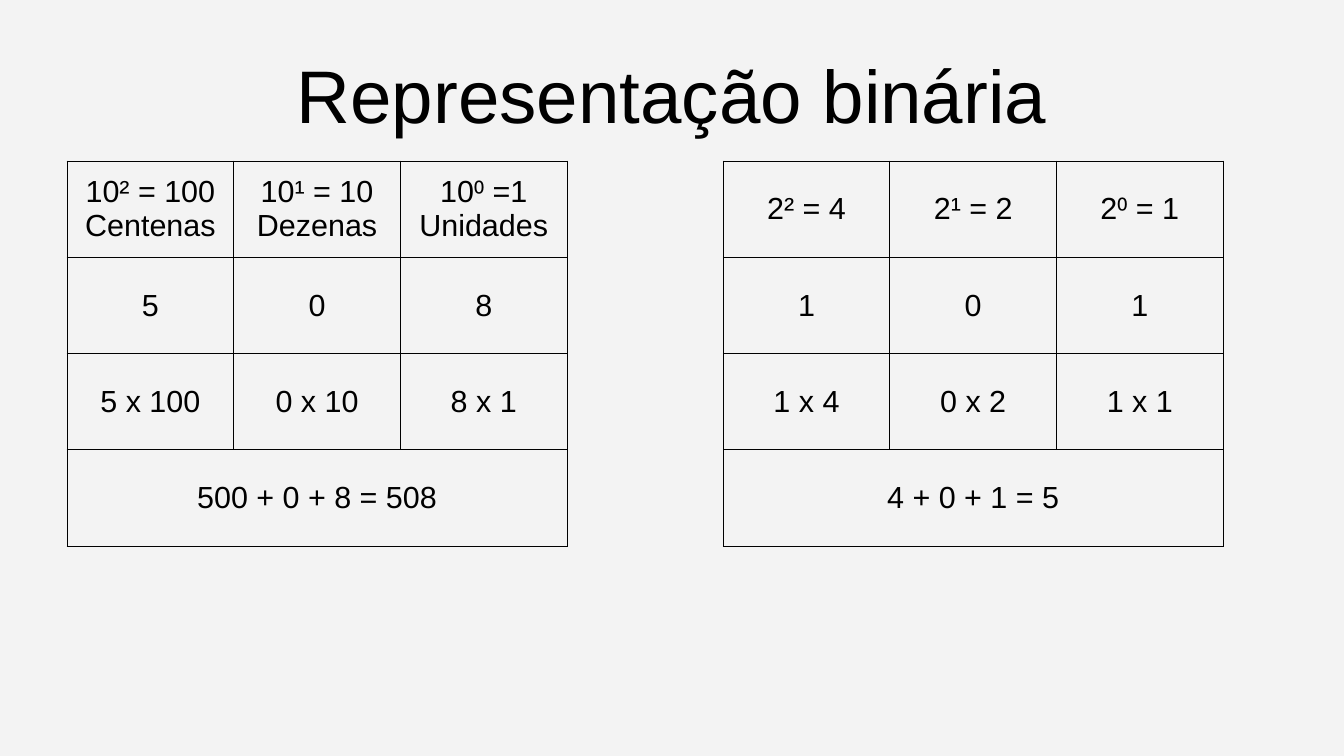
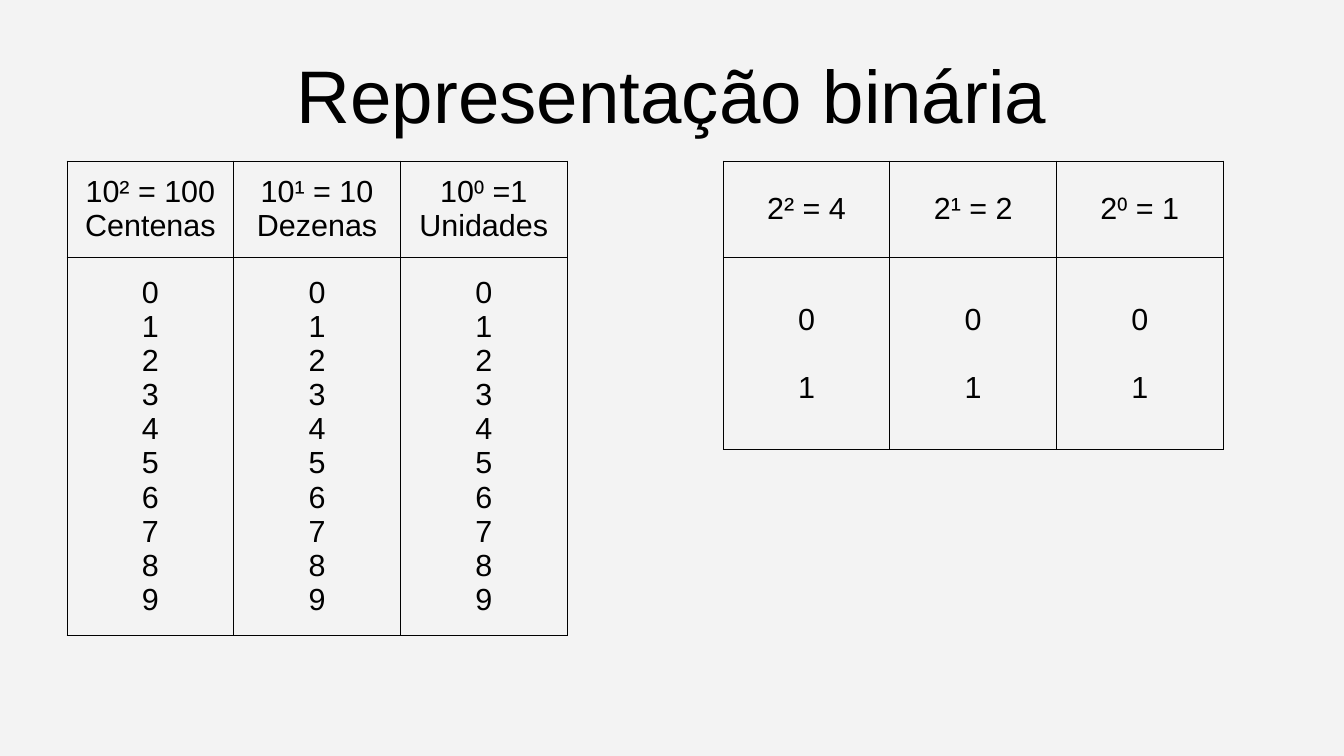
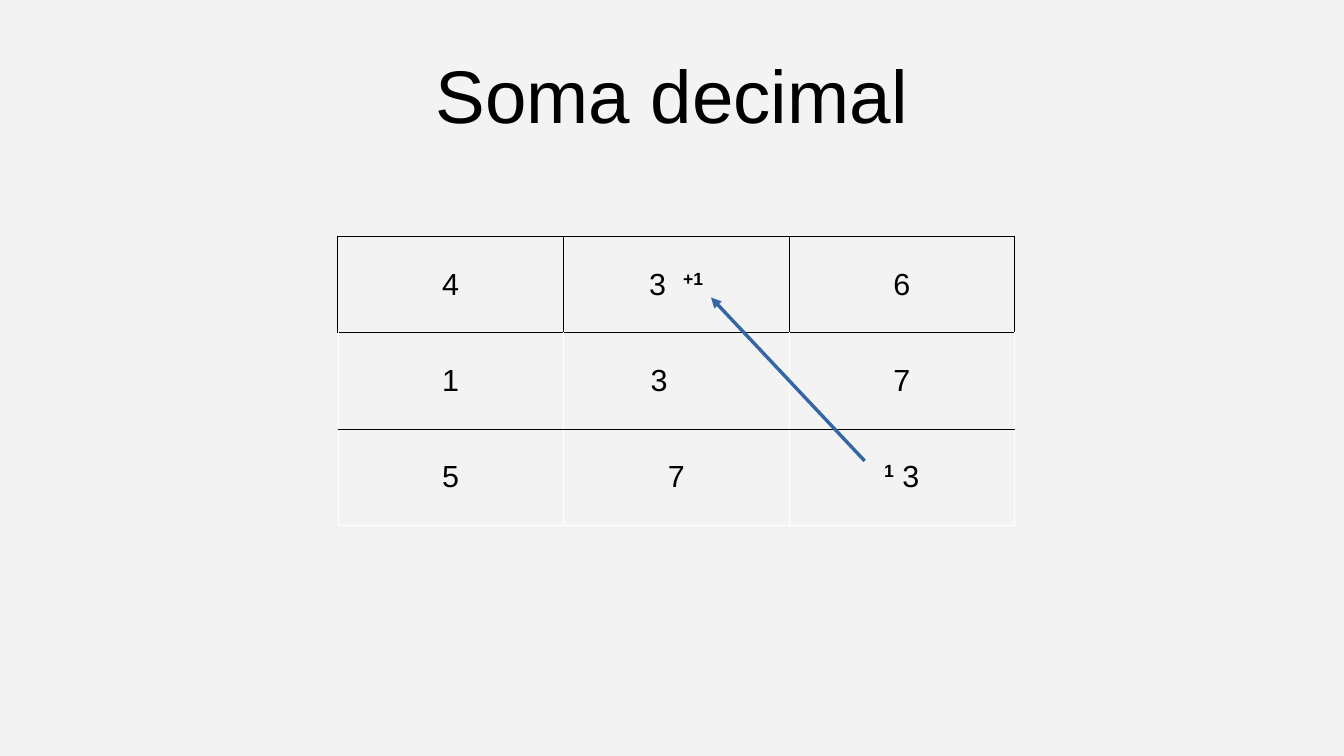
from pptx import Presentation
from pptx.dml.color import RGBColor
from pptx.enum.shapes import MSO_CONNECTOR
from pptx.enum.text import MSO_ANCHOR, PP_ALIGN
from pptx.oxml import parse_xml
from pptx.oxml.ns import nsdecls
from pptx.util import Inches, Pt

MIDDLE = MSO_ANCHOR.MIDDLE
CENTER = PP_ALIGN.CENTER
STRAIGHT = MSO_CONNECTOR.STRAIGHT

COLORS = {"background": "F3F3F3", "text": "000000", "border": "000000",
          "faint": "FFFFFF", "arrow": "3465A4"}
TITLE_FONT = {"name": "Arial", "size": Pt(44)}
CELL_FONT = {"name": "Arial", "size": Pt(18)}
TITLE_BOX = {"left": Inches(0.55), "top": Inches(0.25),
             "width": Inches(9.92), "height": Inches(1.04)}
TITLE_FRAME = {"margin_left": 0, "margin_right": 0, "margin_top": 0,
               "margin_bottom": 0, "vertical_anchor": MIDDLE, "word_wrap": True}
ROW = 0.79
DECIMAL_LEFT, BINARY_LEFT, GRID_TOP, GRID_WIDTH = 0.55, 5.93, 1.32, 4.1

prs = Presentation()
prs.slide_width, prs.slide_height = Inches(11.02), Inches(6.2)
backdrop = prs.slide_master.background.fill
backdrop.solid()
backdrop.fore_color.rgb = RGBColor.from_string(COLORS["background"])


def add_titled_slide(title_text):
    slide = prs.slides.add_slide(prs.slide_layouts[5])
    title = slide.shapes.title
    for name, value in TITLE_BOX.items():
        setattr(title, name, value)
    for name, value in TITLE_FRAME.items():
        setattr(title.text_frame, name, value)
    title.text_frame.text = title_text
    paragraph = title.text_frame.paragraphs[0]
    paragraph.alignment = CENTER
    for name, value in TITLE_FONT.items():
        setattr(paragraph.runs[0].font, name, value)
    paragraph.runs[0].font.color.rgb = RGBColor.from_string(COLORS["text"])
    return slide


def add_grid(slide, rows, left, top, width, heights, faint_sides=None):
    """Rows of one text span all columns; text between ^ marks is superscript."""
    columns = len(rows[0])
    table = slide.shapes.add_table(
        len(rows), columns, Inches(left), Inches(top),
        Inches(width), Inches(sum(heights))).table
    table.first_row = table.horz_banding = False
    for column in table.columns:
        column.width = Inches(width / columns)

    for r, texts in enumerate(rows):
        table.rows[r].height = Inches(heights[r])
        if len(texts) == 1:
            table.cell(r, 0).merge(table.cell(r, columns - 1))
        for c in range(columns):
            cell = table.cell(r, c)
            cell.fill.background()
            cell.vertical_anchor = MIDDLE

            # Borders come before the fill in the cell properties
            for position, side in enumerate("LRTB"):
                faint = faint_sides is not None and side in faint_sides[r]
                color = COLORS["faint" if faint else "border"]
                line_width = Pt(0.06 if faint else 0.57)
                cell._tc.get_or_add_tcPr().insert(position, parse_xml(
                    f'<a:ln{side} {nsdecls("a")} w="{line_width}"><a:solidFill>'
                    f'<a:srgbClr val="{color}"/></a:solidFill></a:ln{side}>'))

            if c >= len(texts):
                continue
            for i, line in enumerate(texts[c].split("\n")):
                frame = cell.text_frame
                paragraph = frame.add_paragraph() if i else frame.paragraphs[0]
                paragraph.alignment = CENTER
                for part, text in enumerate(line.split("^")):
                    if not text:
                        continue
                    run = paragraph.add_run()
                    run.text = text
                    for name, value in CELL_FONT.items():
                        setattr(run.font, name, value)
                    run.font.color.rgb = RGBColor.from_string(COLORS["text"])
                    if part % 2:
                        run.font.bold = True
                        run._r.get_or_add_rPr().set("baseline", "33000")
    return table


decimal_header = ["10² = 100\nCentenas", "10¹ = 10\nDezenas", "10⁰ =1\nUnidades"]
binary_header = ["2² = 4", "2¹ = 2", "2⁰ = 1"]

# Slide 1: place values in both bases
values_slide = add_titled_slide("Representação binária")
decimal_rows = [decimal_header, ["5", "0", "8"],
                ["5 x 100", "0 x 10", "8 x 1"], ["500 + 0 + 8 = 508"]]
binary_rows = [binary_header, ["1", "0", "1"],
               ["1 x 4", "0 x 2", "1 x 1"], ["4 + 0 + 1 = 5"]]
for left, rows in ((DECIMAL_LEFT, decimal_rows), (BINARY_LEFT, binary_rows)):
    add_grid(values_slide, rows, left, GRID_TOP, GRID_WIDTH, [ROW] * 4)

# Slide 2: digits available in each base
digits_slide = add_titled_slide("Representação binária")
decimal_digits = "\n".join(str(digit) for digit in range(10))
add_grid(digits_slide, [decimal_header, [decimal_digits] * 3],
         DECIMAL_LEFT, GRID_TOP, GRID_WIDTH, [ROW, 3.1])
binary_grid = add_grid(digits_slide, [binary_header, ["0\n1"] * 3],
                       BINARY_LEFT, GRID_TOP, GRID_WIDTH, [ROW, 2 * ROW])
for c in range(3):
    binary_grid.cell(1, c).text_frame.paragraphs[1].space_before = Pt(20)

# Slide 3: decimal sum with carry
sum_slide = add_titled_slide("Soma decimal")
sum_rows = [["4", "3  ^+1", "6"], ["1", "3", "7"], ["5", "7", "^1^ 3"]]
sum_grid = add_grid(sum_slide, sum_rows, 2.77, 1.94, 5.55, [ROW] * 3,
                    faint_sides=["", "LR", "LRB"])
sum_grid.cell(1, 1).margin_right = Inches(0.38)

# Arrow from the carried digit to the tens column
carry = sum_slide.shapes.add_connector(
    STRAIGHT, Inches(7.09), Inches(3.78), Inches(5.83), Inches(2.44))
carry.line.color.rgb = RGBColor.from_string(COLORS["arrow"])
carry.line.width = Pt(0)
carry.line._get_or_add_ln().append(
    parse_xml(f'<a:tailEnd {nsdecls("a")} type="triangle"/>'))
carry._element.spPr.append(parse_xml(f'<a:effectLst {nsdecls("a")}/>'))

prs.save("out.pptx")
